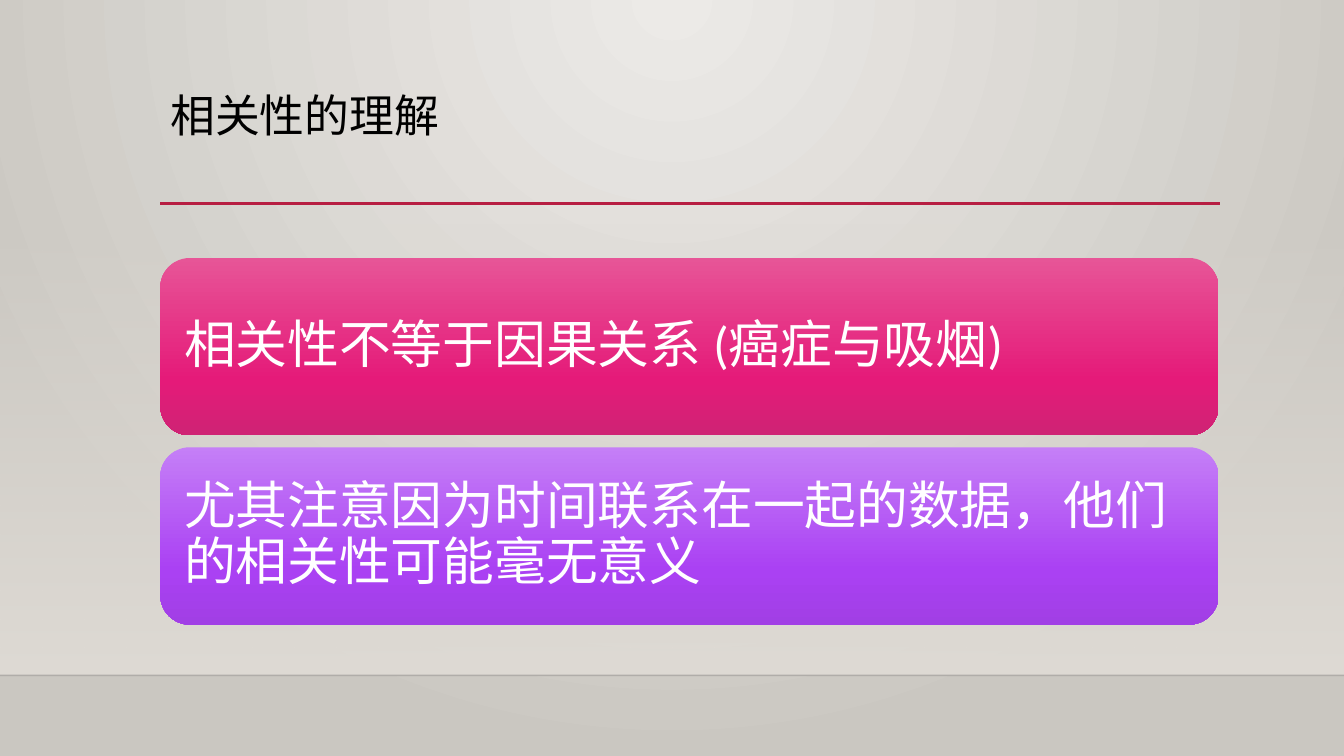
from lxml import etree
from pptx import Presentation
from pptx.dml.color import RGBColor
from pptx.enum import shapes, text
from pptx.oxml import ns
from pptx.util import Pt

COLORS = {
    "text": "000000", "card_text": "FFFFFF", "rule": "B71E42", "floor": "000001",
    "center": "ECEAE7", "edge": "CAC7C1", "wall": "DFDBD5",
}
PINK = [(0, "E75597"), (69, "E51A79"), (100, "CF2374")]
PURPLE = [(0, "C57FF7"), (69, "AA41F3"), (100, "A13FE5")]
CARDS = [
    ("相关性不等于因果关系 (癌症与吸烟)", PINK),
    ("尤其注意因为时间联系在一起的数据，他们的相关性可能毫无意义", PURPLE),
]
WIDTH, HEIGHT = 960, 540
LEFT, CONTENT_WIDTH = 114.5, 756
CARD_TOP, CARD_HEIGHT, CARD_PITCH = 184.3, 126.7, 135.2
WALL_TOP, FLOOR_TOP = 159.1, 482.4


def add_alpha(color, percent):
    etree.SubElement(color, ns.qn("a:alpha"), val=str(percent * 1000))


def set_gradient(owner, stops, radial=False):
    """Swap the owner's empty fill for a gradient of (position, colour[, opacity])."""
    gradient = etree.Element(ns.qn("a:gradFill"), rotWithShape="1")
    stop_list = etree.SubElement(gradient, ns.qn("a:gsLst"))
    for position, color, *opacity in stops:
        stop = etree.SubElement(stop_list, ns.qn("a:gs"), pos=str(position * 1000))
        value = etree.SubElement(stop, ns.qn("a:srgbClr"), val=color)
        if opacity:
            add_alpha(value, opacity[0])
    if radial:
        circle = etree.SubElement(gradient, ns.qn("a:path"), path="circle")
        etree.SubElement(circle, ns.qn("a:fillToRect"), l="43000", t="0", r="43000", b="100000")
    else:
        etree.SubElement(gradient, ns.qn("a:lin"), ang="5400000", scaled="0")
    empty_fill = owner.find(".//" + ns.qn("a:noFill"))
    empty_fill.getparent().replace(empty_fill, gradient)


class SlideBuilder:
    font = "Calibri"

    def __init__(self, slide):
        self.slide = slide

    def background(self, stops):
        self.slide.background.fill.background()
        set_gradient(self.slide.element, stops, radial=True)

    def set_words(self, frame, words, size, color, anchor, inset=None):
        frame.text = words
        frame.word_wrap = True
        frame.auto_size = text.MSO_AUTO_SIZE.NONE
        frame.vertical_anchor = anchor
        if inset is not None:
            frame.margin_left = frame.margin_right = Pt(inset)
            frame.margin_top = frame.margin_bottom = Pt(inset)
        paragraph = frame.paragraphs[0]
        paragraph.alignment = text.PP_ALIGN.LEFT
        paragraph.line_spacing = 0.9
        font = paragraph.runs[0].font
        font.name, font.size = self.font, Pt(size)
        font.color.rgb = RGBColor.from_string(COLORS[color])

    def title(self, words, left, top, width, height):
        title = self.slide.shapes.title
        title.left, title.top = Pt(left), Pt(top)
        title.width, title.height = Pt(width), Pt(height)
        self.set_words(title.text_frame, words, 32, "text", text.MSO_ANCHOR.TOP)

    def panel(self, kind, left, top, width, height, stops):
        panel = self.slide.shapes.add_shape(kind, Pt(left), Pt(top), Pt(width), Pt(height))
        panel.shadow.inherit = False
        panel.fill.background()
        panel.line.fill.background()
        set_gradient(panel.element, stops)
        return panel

    def card(self, words, top, stops):
        card = self.panel(shapes.MSO_SHAPE.ROUNDED_RECTANGLE, LEFT, top,
                          CONTENT_WIDTH, CARD_HEIGHT, stops)
        self.set_words(card.text_frame, words, 37, "card_text", text.MSO_ANCHOR.MIDDLE, inset=10.8)

    def rule(self, left, right, y, color, weight, opacity=100):
        rule = self.slide.shapes.add_connector(
            shapes.MSO_CONNECTOR.STRAIGHT, Pt(left), Pt(y), Pt(right), Pt(y))
        rule.line.width = Pt(weight)
        rule.line.color.rgb = RGBColor.from_string(COLORS[color])
        if opacity < 100:
            add_alpha(rule.element.find(".//" + ns.qn("a:srgbClr")), opacity)
        etree.SubElement(rule.element.spPr, ns.qn("a:effectLst"))


def main():
    deck = Presentation()
    deck.slide_width, deck.slide_height = Pt(WIDTH), Pt(HEIGHT)
    builder = SlideBuilder(deck.slides.add_slide(deck.slide_layouts[5]))
    builder.background([(0, COLORS["center"]), (100, COLORS["edge"])])
    builder.panel(shapes.MSO_SHAPE.RECTANGLE, 0, WALL_TOP, WIDTH, FLOOR_TOP - WALL_TOP,
                  [(0, COLORS["wall"], 0), (100, COLORS["wall"])])
    builder.rule(0, WIDTH, FLOOR_TOP, "floor", 1, opacity=20)
    builder.rule(LEFT, 871.2, 145.4, "rule", 2.5)
    builder.title("相关性的理解", LEFT, 63.4, CONTENT_WIDTH, 82.8)
    for row, (words, stops) in enumerate(CARDS):
        builder.card(words, CARD_TOP + row * CARD_PITCH, stops)
    deck.save("out.pptx")


if __name__ == "__main__":
    main()
